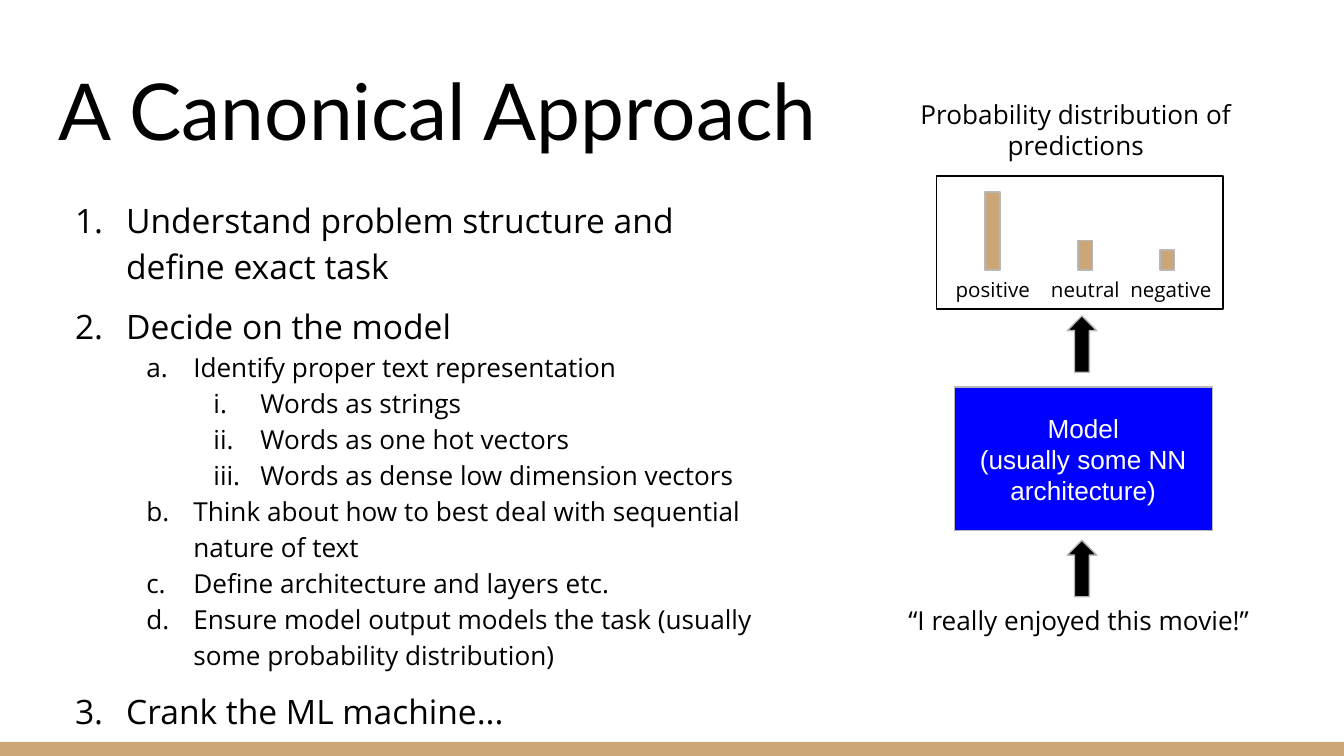
from lxml import etree
from pptx import Presentation
from pptx import util as u
from pptx.dml.color import RGBColor
from pptx.enum import shapes, text
from pptx.oxml.ns import qn

TAN, GREY, BLACK = "CCA677", "B7B7B7", "000000"
CENTER, LEFT = text.PP_ALIGN.CENTER, text.PP_ALIGN.LEFT
RECT, ARROW = shapes.MSO_SHAPE.RECTANGLE, shapes.MSO_SHAPE.RIGHT_ARROW

# 16:9 slide
prs = Presentation()
prs.slide_width, prs.slide_height = u.Inches(10), u.Inches(10 * 9 / 16)
s = prs.slides.add_slide(prs.slide_layouts[6])


def add_box(kind, x, y, w, h, fill=None, line=None):
    """Add a preset shape, or a text box when kind is None."""
    box = [u.Inches(v) for v in (x, y, w, h)]
    if kind is None:
        sp = s.shapes.add_textbox(*box)
    else:
        sp = s.shapes.add_shape(kind, *box)
        sp.shadow.inherit = False
        if fill:
            sp.fill.solid()
            sp.fill.fore_color.rgb = RGBColor.from_string(fill)
        else:
            sp.fill.background()
        if line:
            sp.line.color.rgb = RGBColor.from_string(line)
            sp.line.width = u.Pt(0.75)
        else:
            sp.line.fill.background()
    tf = sp.text_frame
    tf.word_wrap = True
    tf.margin_left = tf.margin_right = tf.margin_top = tf.margin_bottom = u.Inches(0.1)
    return sp


def write(tf, i, words, size, font="Open Sans", color=BLACK, align=LEFT):
    """Write paragraph number i of a text frame."""
    p = tf.paragraphs[0] if i == 0 else tf.add_paragraph()
    p.alignment = align
    r = p.add_run()
    r.text = words
    r.font.size, r.font.name = u.Pt(size), font
    r.font.color.rgb = RGBColor.from_string(color)
    return p


# Footer strip
add_box(RECT, 0, 5.52, 10, 0.11, TAN)

# Title
tf = add_box(None, 0.34, 0.35, 9.32, 0.91).text_frame
tf.vertical_anchor = text.MSO_ANCHOR.BOTTOM
write(tf, 0, "A Canonical Approach", 42, "Lato")

# Numbered outline: level -> size, left margin, indent, numbering
levels = [
    (18, 0.5, -0.38, "arabicPeriod"),
    (14, 1.0, -0.35, "alphaLcPeriod"),
    (14, 1.5, -0.35, "romanLcPeriod"),
]
outline = [
    (0, "Understand problem structure and define exact task"),
    (0, "Decide on the model"),
    (1, "Identify proper text representation"),
    (2, "Words as strings"),
    (2, "Words as one hot vectors"),
    (2, "Words as dense low dimension vectors"),
    (1, "Think about how to best deal with sequential nature of text"),
    (1, "Define architecture and layers etc."),
    (1, "Ensure model output models the task (usually some probability distribution)"),
    (0, "Crank the ML machine..."),
]
tf = add_box(None, 0.34, 1.34, 5.46, 3.67).text_frame
for i, (level, words) in enumerate(outline):
    size, margin, indent, numbering = levels[level]
    p = write(tf, i, words, size)
    p.level = level
    pPr = p._p.get_or_add_pPr()
    pPr.set("marL", str(u.Inches(margin)))
    pPr.set("indent", str(u.Inches(indent)))
    clr = etree.SubElement(pPr, qn("a:buClr"))
    etree.SubElement(clr, qn("a:srgbClr"), val=BLACK)
    etree.SubElement(pPr, qn("a:buFont"), typeface="Open Sans")
    etree.SubElement(pPr, qn("a:buAutoNum"), type=numbering)
    p.line_spacing = 1.15
    p.space_before = u.Pt(7.5 if level == 0 and i > 0 else 0)

# Input sentence
tf = add_box(None, 6.66, 4.4, 2.79, 0.39).text_frame
write(tf, 0, "“I really enjoyed this movie!”", 14)

# Model block
tf = add_box(RECT, 7.1, 2.88, 1.92, 1.07, "0000FF", GREY).text_frame
tf.vertical_anchor = text.MSO_ANCHOR.MIDDLE
for i, words in enumerate(["Model", "(usually some NN architecture)"]):
    write(tf, i, words, 14, "Arial", "FFFFFF", CENTER)

# Arrows into and out of the model
for y in (2.45, 4.12):
    add_box(ARROW, 7.84, y, 0.42, 0.22, BLACK, GREY).rotation = 270

# Distribution heading
tf = add_box(None, 6.58, 0.63, 2.85, 0.59).text_frame
write(tf, 0, "Probability distribution of predictions", 14, align=CENTER)

# Category labels, spaced by tab stops
tf = add_box(None, 6.53, 1.97, 3.08, 0.22).text_frame
tf.margin_left = u.Inches(0.58)
p = write(tf, 0, "positive\tneutral\tnegative", 11)
tabs = etree.SubElement(p._p.get_or_add_pPr(), qn("a:tabLst"))
for stop in (0.71, 1.3):
    etree.SubElement(tabs, qn("a:tab"), pos=str(u.Inches(stop)), algn="l")

# Bars on a shared baseline
baseline = 2.01
for x, height in [(7.33, 0.58), (8.02, 0.22), (8.63, 0.15)]:
    add_box(RECT, x, baseline - height, 0.11, height, TAN, GREY)

# Frame around the distribution
add_box(RECT, 6.97, 1.31, 2.13, 0.99, line=BLACK)

prs.save("out.pptx")
